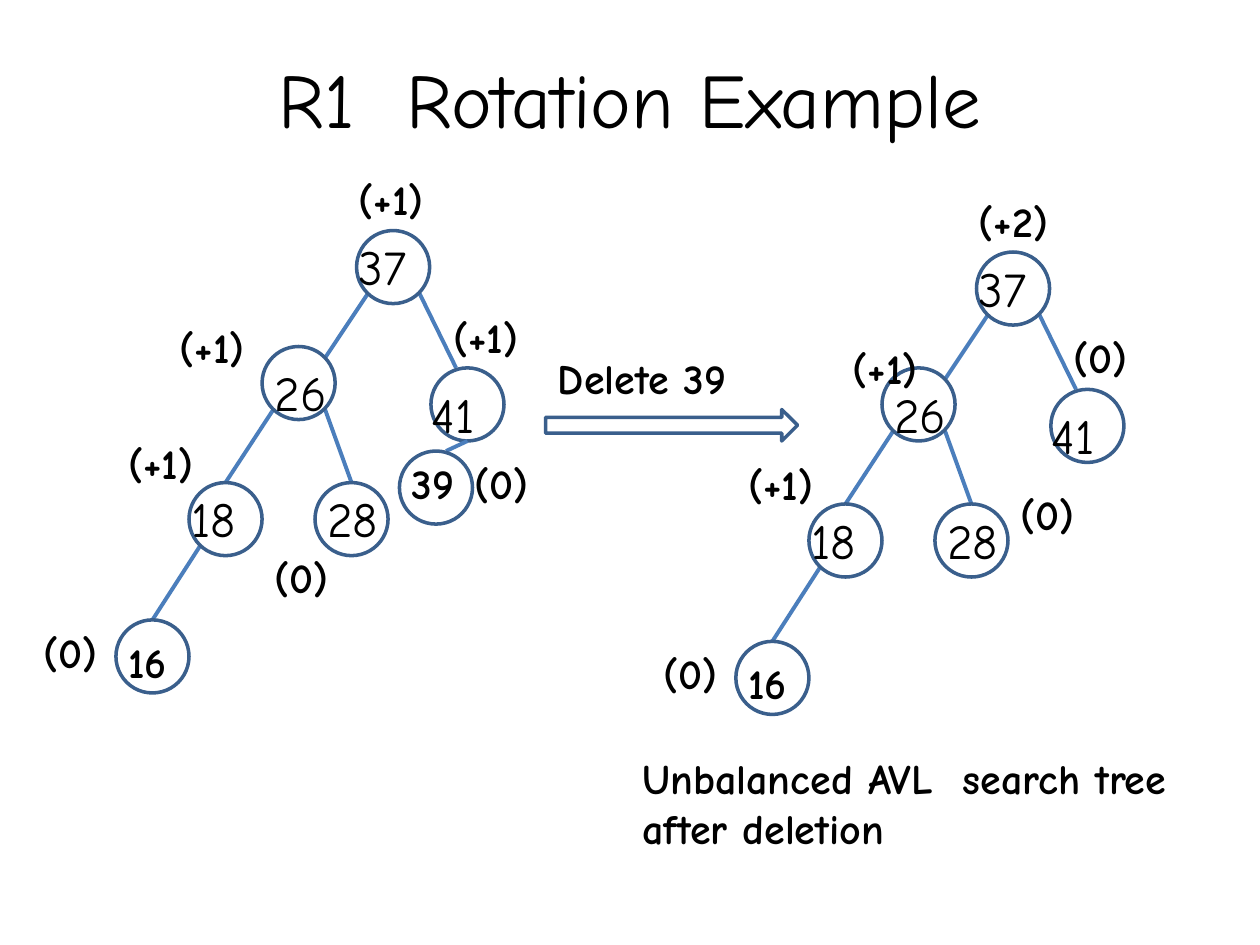
"""Build the slide showing an AVL tree before and after deleting 39."""
from dataclasses import dataclass

from lxml import etree
from pptx import Presentation
from pptx.dml.color import RGBColor
from pptx.enum.shapes import MSO_CONNECTOR, MSO_SHAPE
from pptx.enum.text import MSO_ANCHOR, MSO_AUTO_SIZE, PP_ALIGN
from pptx.oxml.ns import qn
from pptx.util import Inches, Pt

OVAL, ARROW = MSO_SHAPE.OVAL, MSO_SHAPE.RIGHT_ARROW
STRAIGHT = MSO_CONNECTOR.STRAIGHT
MIDDLE, CENTER = MSO_ANCHOR.MIDDLE, PP_ALIGN.CENTER
GROW = MSO_AUTO_SIZE.SHAPE_TO_FIT_TEXT


@dataclass(frozen=True)
class Theme:
    font: str = "Comic Neue"
    ink: RGBColor = RGBColor(0x00, 0x00, 0x00)
    outline: RGBColor = RGBColor(0x3A, 0x5F, 0x8C)
    edge: RGBColor = RGBColor(0x4B, 0x7E, 0xBC)
    title_size: int = 44
    key_size: int = 28
    label_size: int = 24
    outline_width: float = 2
    edge_width: float = 2.25


theme = Theme()
NODE_SIZE = 0.58


def add_text(shapes, text, left, top, width, size=theme.label_size):
    bold = size == theme.label_size
    box = shapes.add_textbox(Inches(left), Inches(top), Inches(width), Inches(0.5 if bold else 0.57))
    box.text_frame.word_wrap = True
    box.text_frame.auto_size = GROW
    box.text_frame.text = text
    font = box.text_frame.paragraphs[0].runs[0].font
    font.name, font.size, font.bold = theme.font, Pt(size), bold
    font.color.rgb = theme.ink
    return box


def add_outline(shapes, kind, left, top, width, height):
    shape = shapes.add_shape(kind, Inches(left), Inches(top), Inches(width), Inches(height))
    shape.shadow.inherit = False
    shape.fill.background()
    shape.line.color.rgb = theme.outline
    shape.line.width = Pt(theme.outline_width)


deck = Presentation()
deck.slide_width, deck.slide_height = Inches(10), Inches(7.5)
page = deck.slides.add_slide(deck.slide_layouts[5])

title = page.shapes.title
title.left, title.top, title.width, title.height = Inches(0.5), Inches(0.3), Inches(9), Inches(0.95)
title.text_frame.text = "R1  Rotation Example"
title.text_frame.vertical_anchor = MIDDLE
heading = title.text_frame.paragraphs[0]
heading.alignment = CENTER
heading.runs[0].font.name = theme.font
heading.runs[0].font.size = Pt(theme.title_size)
heading.runs[0].font.color.rgb = theme.ink

add_outline(page.shapes, ARROW, 4.33, 3.25, 2, 0.25)
add_text(page.shapes, "Delete 39", 4.33, 2.75, 2.42)
caption = add_text(page.shapes, "Unbalanced AVL  search tree after deletion", 5, 5.92, 4.58)
caption.height = Inches(0.91)

# key, node left, node top, text shift right, text shift down, text width, text size
shared_nodes = [
    ("37", 2.83, 1.83, -0.08, 0, 1.08, theme.key_size),
    ("26", 2.08, 2.75, 0, 0.08, 0.75, theme.key_size),
    ("41", 3.42, 2.92, -0.09, 0.08, 1.25, theme.key_size),
    ("18", 1.5, 3.83, -0.08, 0, 0.75, theme.key_size),
    ("28", 2.5, 3.83, 0, 0, 0.75, theme.key_size),
    ("16", 0.92, 4.92, 0, 0.08, 0.75, theme.label_size),
]
shared_edges = [
    (2.92, 2.33, 2.58, 2.84),
    (3.33, 2.33, 3.62, 2.92),
    (2.17, 3.25, 1.79, 3.83),
    (2.58, 3.25, 2.79, 3.83),
    (1.59, 4.33, 1.21, 4.92),
]
shared_labels = [("(+1)", 0.92, 3.42, 1.25), ("(0)", 0.25, 4.92, 1.25)]
before_labels = shared_labels + [
    ("(+1)", 2.75, 1.33, 1.08),
    ("(+1)", 1.33, 2.5, 0.92),
    ("(+1)", 3.5, 2.42, 1.25),
    ("(0)", 2.08, 4.33, 0.75),
]
after_labels = shared_labels + [
    ("(+2)", 2.75, 1.33, 1.08),
    ("(+1)", 1.75, 2.5, 0.92),
    ("(0)", 3.5, 2.41, 0.75),
    ("(0)", 3.08, 3.66, 0.75),
]
leaf_nodes = [("39", 3.17, 3.58, 0, 0, 0.75, theme.label_size)]
leaf_edges = [(3.71, 3.5, 3.54, 3.58)]
leaf_labels = [("(0)", 3.67, 3.58, 0.67)]

trees = [
    (page.shapes.add_group_shape().shapes, 0, 0, shared_nodes, shared_edges, before_labels),
    (page.shapes.add_group_shape().shapes, 4.92, 0.17, shared_nodes, shared_edges, after_labels),
    (page.shapes, 0, 0, leaf_nodes, leaf_edges, leaf_labels),
]
for shapes, across, down, nodes, edges, labels in trees:
    for start_x, start_y, end_x, end_y in edges:
        edge = shapes.add_connector(
            STRAIGHT,
            Inches(start_x + across), Inches(start_y + down),
            Inches(end_x + across), Inches(end_y + down),
        )
        edge.line.color.rgb = theme.edge
        edge.line.width = Pt(theme.edge_width)
        etree.SubElement(edge._element.spPr, qn("a:effectLst"))
    for key, left, top, shift_x, shift_y, width, size in nodes:
        add_outline(shapes, OVAL, left + across, top + down, NODE_SIZE, NODE_SIZE)
        add_text(shapes, key, left + shift_x + across, top + shift_y + down, width, size)
    for balance, left, top, width in labels:
        add_text(shapes, balance, left + across, top + down, width)

deck.save("out.pptx")
